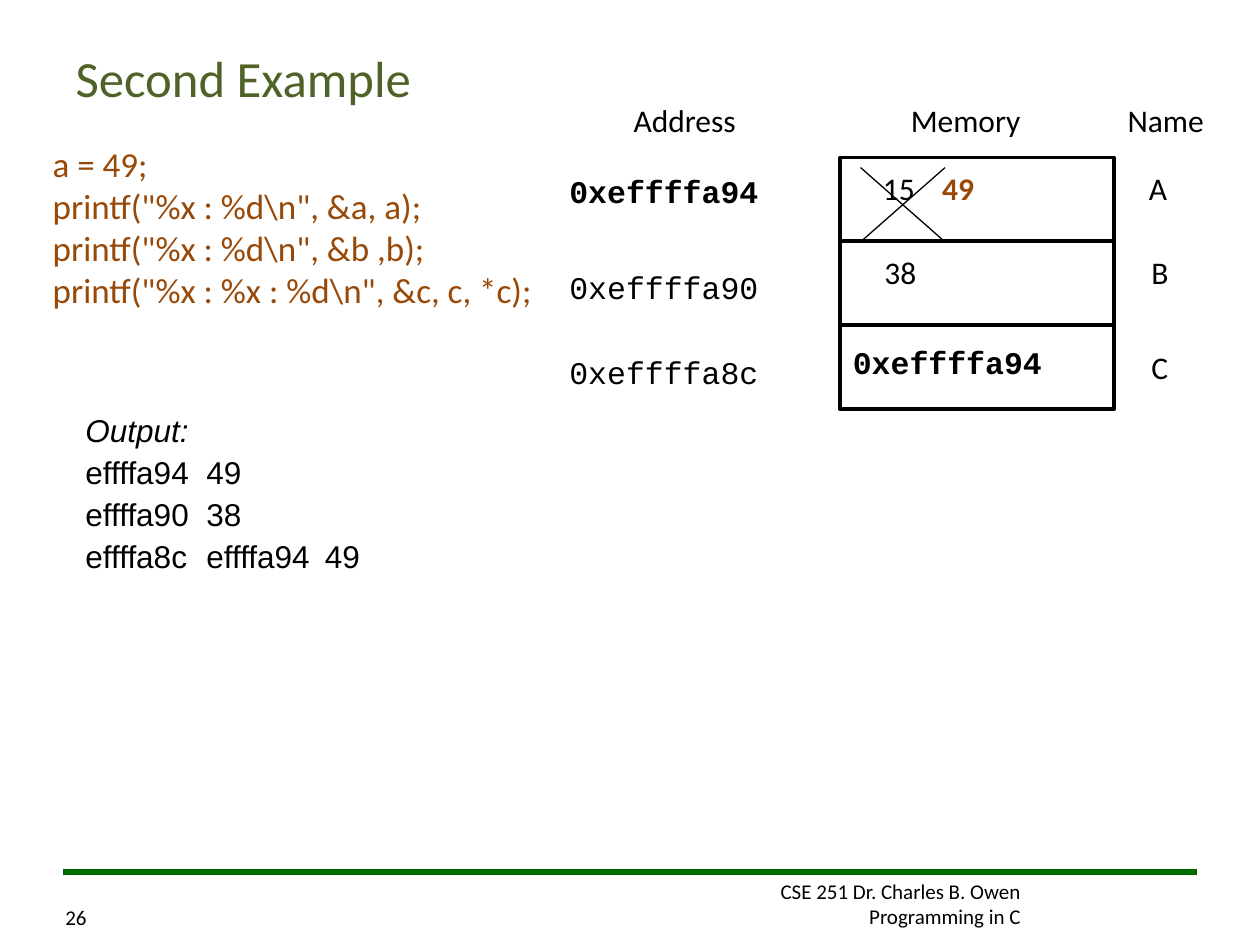
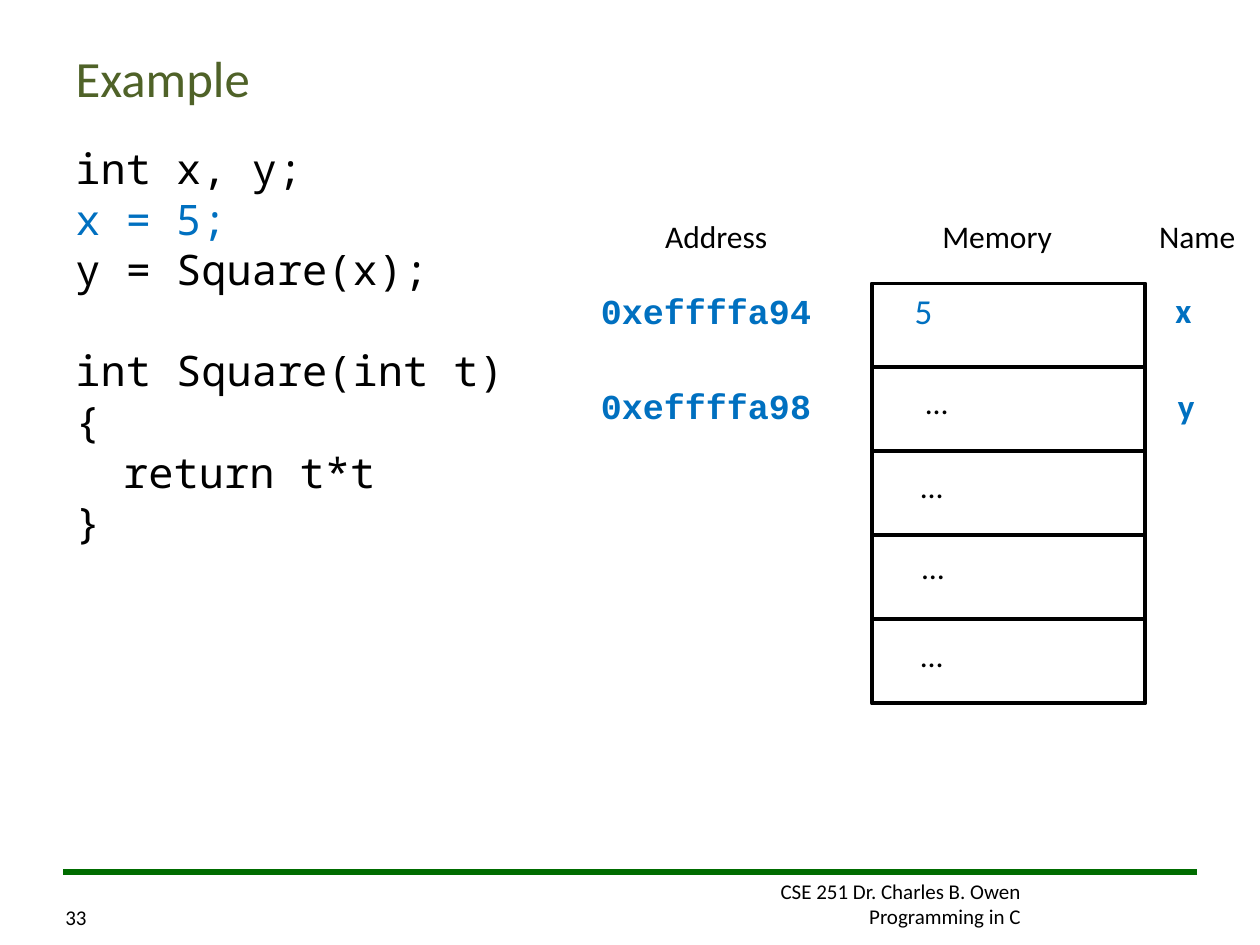
from lxml import etree
from pptx import Presentation
from pptx import util as u
from pptx.dml.color import RGBColor
from pptx.enum import shapes, text
from pptx.oxml import ns

BLACK, GREEN, OLIVE = "000000", "006C00", "4F6228"
BROWN, BLUE = "984807", "0070C0"

BODY = {"name": "Calibri", "size": 18, "color": BLACK}
ADDRESS = {**BODY, "name": "Courier New"}
ACTIVE = {**BODY, "size": 20, "color": BLUE}
TITLE = {**BODY, "size": 29, "color": OLIVE}
FOOTER = {**BODY, "size": 12}

CELL_WIDTH, CELL_HEIGHT = 2.17, 2 / 3
# Heading, offset from the left of the memory column, width
HEADINGS = [("Address", -1.74, 1.05), ("Memory", 0.46, 1.12), ("Name", 2.18, 0.88)]


def rgb(hex_color):
    return RGBColor.from_string(hex_color)


def set_font(font, style):
    for key, value in style.items():
        if key == "color":
            font.color.rgb = rgb(value)
        else:
            setattr(font, key, u.Pt(value) if key == "size" else value)


def add_run(paragraph, words, style):
    run = paragraph.add_run()
    run.text = words
    set_font(run.font, style)


def add_text(slide, left, top, width, height, lines, style, wrap=True,
             anchor=text.MSO_ANCHOR.TOP, **paragraph_format):
    """Add a text box with one paragraph per line; return the paragraphs."""
    box = slide.shapes.add_textbox(*map(u.Inches, (left, top, width, height)))
    frame = box.text_frame
    frame.word_wrap = wrap
    frame.vertical_anchor = anchor
    for number, line in enumerate(lines):
        paragraph = frame.add_paragraph() if number else frame.paragraphs[0]
        add_run(paragraph, line, style)
        for key, value in paragraph_format.items():
            setattr(paragraph, key, value)
    return frame.paragraphs


def add_label(slide, left, top, width, label, style):
    """Add a single line that never wraps; return its paragraph."""
    return add_text(slide, left, top, width, 0.4, [label], style, wrap=False)[0]


def set_tabs(paragraph, *stops):
    tabs = etree.SubElement(paragraph._p.get_or_add_pPr(), ns.qn("a:tabLst"))
    for stop in stops:
        etree.SubElement(tabs, ns.qn("a:tab"), pos=str(u.Inches(stop)), algn="l")


def set_indent(paragraph, inches):
    paragraph._p.get_or_add_pPr().set("marL", str(u.Inches(inches)))


def add_line(slide, start, end, color, weight):
    line = slide.shapes.add_connector(
        shapes.MSO_CONNECTOR.STRAIGHT, *map(u.Inches, (*start, *end)))
    line.line.color.rgb = rgb(color)
    line.line.width = u.Pt(weight)
    etree.SubElement(line._element.spPr, ns.qn("a:effectLst"))


def add_base_slide(deck, title, page):
    """Add a slide with the shared title style, rule and footer."""
    slide = deck.slides.add_slide(deck.slide_layouts[5])
    add_text(slide, 4.83, 6.92, 3.37, 0.5,
             ["CSE 251 Dr. Charles B. Owen", "Programming in C"], FOOTER,
             alignment=text.PP_ALIGN.RIGHT)
    add_line(slide, (9.5, 6.92), (0.5, 6.92), GREEN, 3)
    add_text(slide, 0.42, 6.92, 0.4, 0.51, [page], FOOTER,
             anchor=text.MSO_ANCHOR.BOTTOM)

    heading = slide.shapes.title
    place = {"left": 0.5, "top": 0.3, "width": 9, "height": 0.62}
    for key, value in place.items():
        setattr(heading, key, u.Inches(value))
    heading.text_frame.vertical_anchor = text.MSO_ANCHOR.MIDDLE
    paragraph = heading.text_frame.paragraphs[0]
    paragraph.alignment = text.PP_ALIGN.LEFT
    add_run(paragraph, title, TITLE)
    return slide


def add_memory(slide, left, top, heading_top, cells):
    """Add the headings and a stack of empty memory cells."""
    for heading, offset, width in HEADINGS:
        add_label(slide, left + offset, heading_top, width, heading, BODY)
    for row in range(cells):
        cell = slide.shapes.add_shape(
            shapes.MSO_SHAPE.RECTANGLE, u.Inches(left),
            u.Inches(top + row * CELL_HEIGHT),
            u.Inches(CELL_WIDTH), u.Inches(CELL_HEIGHT))
        cell.shadow.inherit = False
        cell.fill.background()
        cell.line.color.rgb = rgb(BLACK)
        cell.line.width = u.Pt(2.25)


def add_address(slide, left, top, address, style):
    add_text(slide, left, top, 2.25, 0.4, [address], style)


def build_second_example(deck):
    slide = add_base_slide(deck, "Second Example", "26")
    bold_address = {**ADDRESS, "bold": True}

    # Memory diagram
    add_memory(slide, 6.67, 1.25, 0.75, 3)
    add_address(slide, 4.42, 1.32, "0xeffffa94", bold_address)
    add_address(slide, 4.42, 2.08, "0xeffffa90", ADDRESS)
    add_address(slide, 4.42, 2.75, "0xeffffa8c", ADDRESS)
    for name, left, top in [("A", 9.02, 1.29), ("B", 9.04, 1.96), ("C", 9.04, 2.71)]:
        add_label(slide, left, top, 0.35, name, BODY)
    value_a = add_label(slide, 6.91, 1.29, 0.93, "15\t", BODY)
    add_run(value_a, "49", {**BODY, "color": BROWN, "bold": True})
    set_tabs(value_a, 0.47)
    add_label(slide, 6.92, 1.96, 0.45, "38", BODY)
    add_address(slide, 6.67, 2.67, "0xeffffa94", bold_address)

    # Cross over the replaced value
    add_line(slide, (6.83, 1.33), (7.5, 1.92), BLACK, 0.75)
    add_line(slide, (7.5, 1.33), (6.83, 1.92), BLACK, 0.75)

    # Code and its output
    code = [
        "a = 49;",
        r'printf("%x : %d\n", &a, a);',
        r'printf("%x : %d\n", &b ,b);',
        r'printf("%x : %x : %d\n", &c, c, *c);',
    ]
    code_style = {**BODY, "size": 20, "color": BROWN}
    for line in add_text(slide, 0, 1.08, 5.5, 1.44, code, code_style):
        set_indent(line, 0.32)
    output = ["Output:", "effffa94\t49", "effffa90\t38", "effffa8c\teffffa94\t49"]
    output_lines = add_text(slide, 0.58, 3.25, 5, 1.37, output,
                            {**BODY, "name": "Arial"},
                            line_spacing=0.9, space_before=u.Pt(4.5))
    output_lines[0].runs[0].font.italic = True
    for line in output_lines[1:]:
        set_tabs(line, 0.96, 1.9)


def build_square_example(deck):
    slide = add_base_slide(deck, "Example", "33")

    # Code
    code = ["int x, y;", "x = 5;", "y = Square(x);",
            "int Square(int t)", "{", "return t*t", "}"]
    pitch = u.Pt(28.9)
    lines = add_text(slide, 0.5, 1.08, 8.5, 4.5, code,
                     {"name": "Noto Sans Mono", "size": 24, "color": BLACK},
                     line_spacing=pitch)
    lines[1].runs[0].font.color.rgb = rgb(BLUE)
    lines[3].space_before = pitch
    set_indent(lines[5], 0.38)

    # Memory diagram
    add_memory(slide, 6.92, 2.25, 1.67, 5)
    bold_active = {**ACTIVE, "bold": True}
    variables = [("0xeffffa94", 2.25, "x", 9.23, 2.24),
                 ("0xeffffa98", 3, "y", 9.25, 3)]
    for address, address_top, name, name_left, name_top in variables:
        add_address(slide, 4.67, address_top, address,
                    {**bold_active, "name": "Courier New"})
        add_label(slide, name_left, name_top, 0.35, name, bold_active)
    add_label(slide, 7.16, 2.25, 0.35, "5", ACTIVE)
    for left, top in [(7.25, 2.99), (7.21, 3.66), (7.22, 4.3), (7.21, 5)]:
        add_label(slide, left, top, 0.37, "…", BODY)


def main():
    deck = Presentation()
    deck.slide_width, deck.slide_height = u.Inches(10), u.Inches(7.5)
    build_second_example(deck)
    build_square_example(deck)
    deck.save("out.pptx")


if __name__ == "__main__":
    main()
